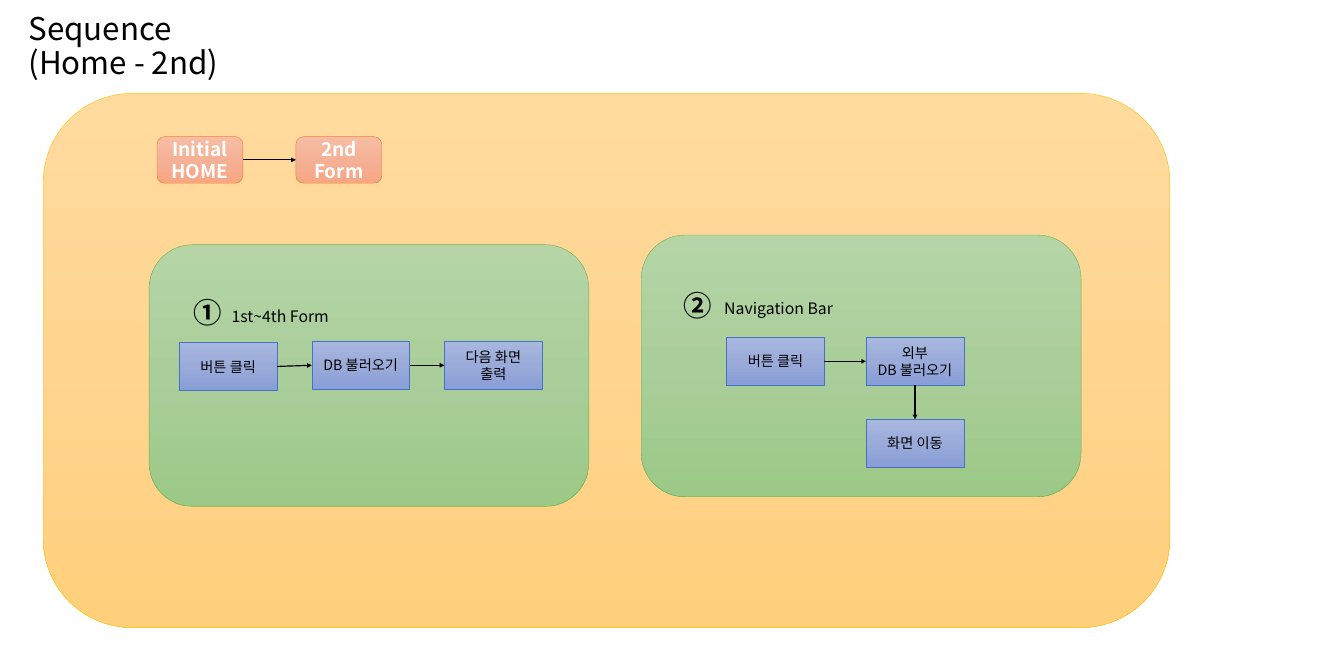
from copy import deepcopy

from pptx import Presentation
from pptx.dml.color import RGBColor
from pptx.enum.shapes import MSO_CONNECTOR, MSO_SHAPE
from pptx.enum.text import MSO_ANCHOR, MSO_AUTO_SIZE, PP_ALIGN
from pptx.oxml.ns import qn
from pptx.util import Pt
from lxml import etree

PX = 9144
FONT = "Noto Sans CJK KR"
RECT, ROUNDED = MSO_SHAPE.RECTANGLE, MSO_SHAPE.ROUNDED_RECTANGLE
STRAIGHT = MSO_CONNECTOR.STRAIGHT
LEFT, CENTER = PP_ALIGN.LEFT, PP_ALIGN.CENTER
TOP, MIDDLE = MSO_ANCHOR.TOP, MSO_ANCHOR.MIDDLE
NO_AUTOFIT = MSO_AUTO_SIZE.NONE
TOP_SIDE, LEFT_SIDE, BOTTOM_SIDE, RIGHT_SIDE = range(4)

BLACK = RGBColor(0, 0, 0)
WHITE = RGBColor(255, 255, 255)
GOLD = RGBColor(0xFF, 0xC0, 0x00)
GOLD_SHADES = (RGBColor(0xFF, 0xDB, 0x9E), RGBColor(0xFF, 0xD5, 0x90), RGBColor(0xFF, 0xD0, 0x7C))
ORANGE = RGBColor(0xED, 0x7D, 0x31)
ORANGE_SHADES = (RGBColor(0xF7, 0xBD, 0xA5), RGBColor(0xF5, 0xB1, 0x96), RGBColor(0xF8, 0xA5, 0x82))
GREEN = RGBColor(0x70, 0xAD, 0x47)
GREEN_SHADES = (RGBColor(0xB5, 0xD5, 0xA7), RGBColor(0xAA, 0xCE, 0x9A), RGBColor(0x9C, 0xC9, 0x87))
BLUE = RGBColor(0x44, 0x72, 0xC4)
BLUE_SHADES = (RGBColor(0xA8, 0xB7, 0xDF), RGBColor(0x9A, 0xAB, 0xD9), RGBColor(0x88, 0x9E, 0xD7))


def emu(*lengths):
    """Turn px lengths into EMU."""
    return [length * PX for length in lengths]


def write(frame, text, size, color=BLACK, bold=False, align=CENTER, anchor=MIDDLE):
    """Fill a text frame with evenly formatted paragraphs."""
    frame.text = text
    frame.word_wrap = True
    frame.vertical_anchor = anchor
    for paragraph in frame.paragraphs:
        paragraph.alignment = align
        font = paragraph.font
        font.size, font.bold, font.name = Pt(size), bold, FONT
        font.color.rgb = color
        defaults = paragraph._p.pPr.find(qn("a:defRPr"))
        etree.SubElement(defaults, qn("a:ea")).set("typeface", FONT)


def add_block(slide, box, kind, shades, outline):
    """Add a shape with a downward three-colour gradient."""
    block = slide.shapes.add_shape(kind, *emu(*box))
    block.shadow.inherit = False
    block.fill.gradient()
    block.fill.gradient_angle = 270
    first_stop = block._element.spPr.find(".//" + qn("a:gs"))
    first_stop.addnext(deepcopy(first_stop))
    for stop, shade, position in zip(block.fill.gradient_stops, shades, (0, 0.5, 1)):
        stop.color.rgb = shade
        stop.position = position
    block.line.color.rgb = outline
    block.line.width = Pt(0.5)
    return block


def add_label(slide, box, text, size, bold=False, align=CENTER, inset=True):
    """Add a top-anchored text box."""
    frame = slide.shapes.add_textbox(*emu(*box)).text_frame
    write(frame, text, size, bold=bold, align=align, anchor=TOP)
    if not inset:
        frame.margin_left = frame.margin_right = 0
        frame.margin_top = frame.margin_bottom = 0


def link(slide, source, target):
    """Join two blocks with an arrow, downward when they share a column."""
    stacked = source.left == target.left
    arrow = slide.shapes.add_connector(STRAIGHT, 0, 0, 0, 0)
    arrow.begin_connect(source, BOTTOM_SIDE if stacked else RIGHT_SIDE)
    arrow.end_connect(target, TOP_SIDE if stacked else LEFT_SIDE)
    arrow.line.color.rgb = BLACK
    arrow.line.width = Pt(1.5)
    properties = arrow._element.spPr
    etree.SubElement(properties.find(qn("a:ln")), qn("a:tailEnd")).set("type", "triangle")
    etree.SubElement(properties, qn("a:effectLst"))


def add_heading(slide, box):
    """Place the slide title."""
    title = slide.shapes.title
    title.left, title.top, title.width, title.height = emu(*box)
    write(title.text_frame, "Sequence\v(Home - 2nd)", 39.6, align=LEFT)
    title.text_frame.auto_size = NO_AUTOFIT
    title.text_frame.paragraphs[0].line_spacing = 0.9


def add_form_flow(slide, box):
    """Draw the step from the home form to the second form."""
    left, top, width, height = box
    forms = []
    for column, text in enumerate(("Initial\nHOME", "2nd\nForm")):
        form_box = (left + column * (width - 151), top, 151, height)
        form = add_block(slide, form_box, ROUNDED, ORANGE_SHADES, ORANGE)
        write(form.text_frame, text, 24, WHITE, bold=True)
        forms.append(form)
    link(slide, *forms)


def add_panel(slide, box, number, number_at, label, label_box, steps):
    """Draw a numbered green panel with its linked steps."""
    left, top = box[:2]
    add_block(slide, box, ROUNDED, GREEN_SHADES, GREEN)
    add_label(slide, (left + number_at[0], top + number_at[1], 90, 62), number, 36,
              bold=True, align=LEFT, inset=False)
    x, y, width = label_box
    add_label(slide, (left + x, top + y, width, 44), label, 20)
    blocks = []
    for x, y, text in steps:
        block = add_block(slide, (left + x, top + y, 172, 84), RECT, BLUE_SHADES, BLUE)
        write(block.text_frame, text, 18)
        blocks.append(block)
    for source, target in zip(blocks, blocks[1:]):
        link(slide, source, target)


def main():
    """Build and save the sequence slide."""
    deck = Presentation()
    deck.slide_width, deck.slide_height = emu(2362, 1181)
    slide = deck.slides.add_slide(deck.slide_layouts[5])
    add_block(slide, (76, 164, 1980, 939), ROUNDED, GOLD_SHADES, GOLD)
    add_heading(slide, (40, 12, 457, 143))
    add_form_flow(slide, (276, 240, 395, 82))
    add_panel(slide, (1127, 413, 773, 460), "②", (74, 93), "Navigation Bar", (125, 107, 233),
              [(150, 180, "버튼 클릭"), (395, 180, "외부\nDB 불러오기"), (395, 324, "화면 이동")])
    add_panel(slide, (262, 430, 773, 460), "①", (78, 89), "1st~4th Form", (128, 104, 205),
              [(53, 172, "버튼 클릭"), (286, 170, "DB 불러오기"), (519, 170, "다음 화면\n출력")])
    deck.save("out.pptx")


if __name__ == "__main__":
    main()
